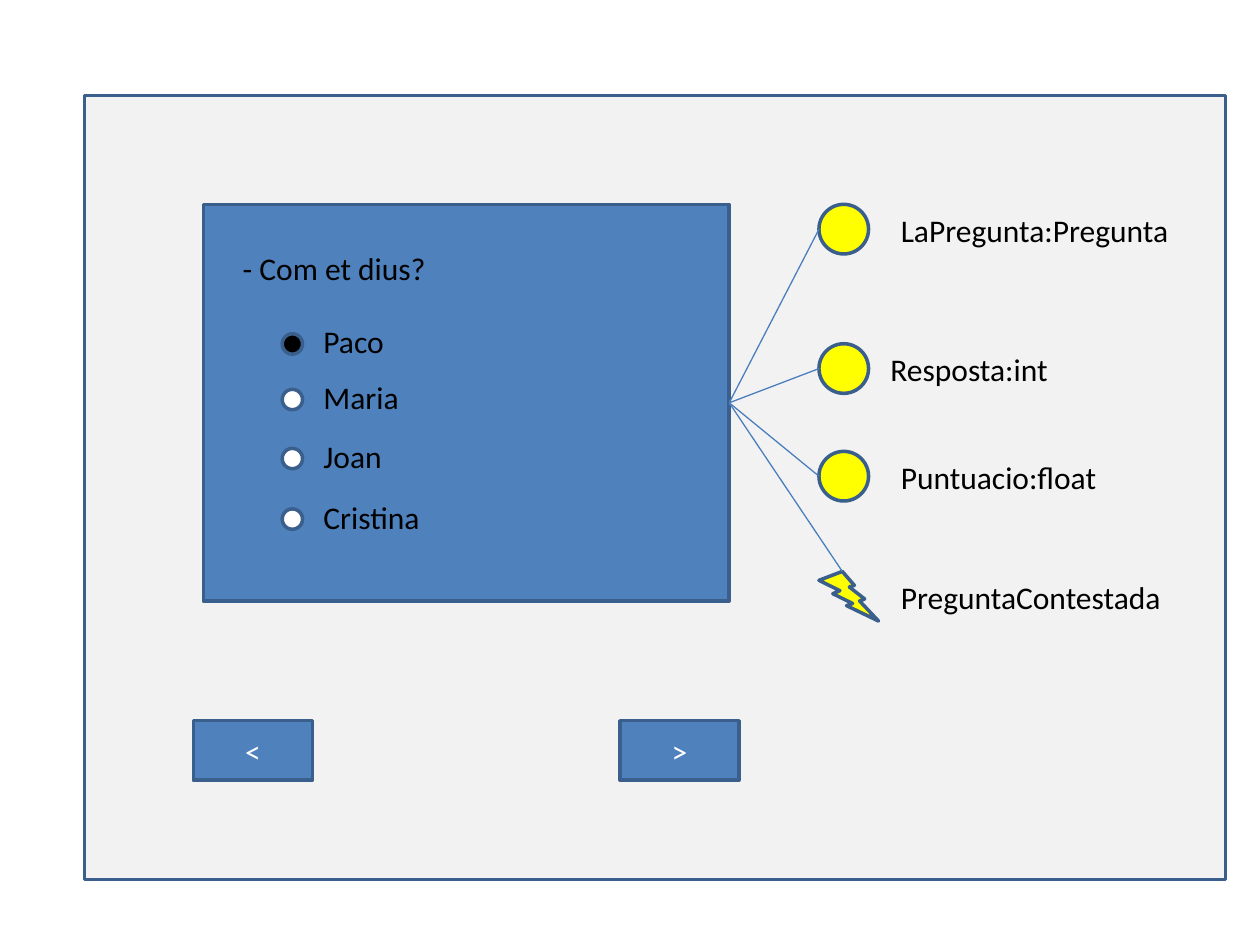
from pptx import Presentation
from pptx.dml.color import RGBColor
from pptx.enum import shapes, text
from pptx.oxml.ns import qn
from pptx.util import Cm, Pt
from lxml import etree

THEME = {
    "font": "Calibri", "size": 18,
    "outline": "3A5F8C", "outline_width": 2,
    "link": "4B7EBC", "link_width": 0.75,
    "frame": "F2F2F2", "panel": "4F81BD", "member": "FFFF00",
    "black": "000000", "white": "FFFFFF",
}
KIND = shapes.MSO_SHAPE

# Lengths in centimetres
FRAME = (1.7, 1.93, 23.01, 15.8)
PANEL = (4.1, 4.12, 10.6, 8)
QUESTION = (" - Com et dius?", 4.5, 4.9, 4.39)
LABEL_HEIGHT = 1.02

# Answer, top of its radio button, label width, selected
ANSWERS = [
    ("Paco", 6.73, 1.75, True),
    ("Maria", 7.85, 2.06, False),
    ("Joan", 9.04, 1.7, False),
    ("Cristina", 10.26, 2.46, False),
]
RADIO_LEFT, RADIO_SIZE, ANSWER_LEFT = 5.69, 0.41, 6.27

# Member, top, label left, label width
PROPERTIES = [
    ("LaPregunta:Pregunta", 4.12, 17.91, 5.97),
    ("Resposta:int", 6.93, 17.7, 3.71),
    ("Puntuacio:float", 9.1, 17.91, 4.5),
]
EVENT = ("PreguntaContestada", 11.52, 17.91, 5.82)
MEMBER_LEFT, MEMBER_SIZE = 16.51, 1
BOLT_WIDTH, BOLT_TIP = 1.2, 0.47

BUTTONS = [("<", 3.9), (">", 12.5)]
BUTTON_TOP, BUTTON_WIDTH, BUTTON_HEIGHT = 14.53, 2.4, 1.2


def color(name):
    return RGBColor.from_string(THEME[name])


def add_span(para, words, ink):
    span = para.add_run()
    span.text = words
    span.font.name = THEME["font"]
    span.font.size = Pt(THEME["size"])
    span.font.color.rgb = color(ink)


def add_figure(page, kind, fill, *bounds):
    figure = page.shapes.add_shape(kind, *map(Cm, bounds))
    figure.shadow.inherit = False
    figure.fill.solid()
    figure.fill.fore_color.rgb = color(fill)
    figure.line.color.rgb = color("outline")
    figure.line.width = Pt(THEME["outline_width"])
    return figure


def add_label(page, words, left, top, width):
    box = page.shapes.add_textbox(*map(Cm, (left, top, width, LABEL_HEIGHT)))
    box.text_frame.word_wrap = False
    box.text_frame.auto_size = text.MSO_AUTO_SIZE.SHAPE_TO_FIT_TEXT
    add_span(box.text_frame.paragraphs[0], words, "black")


def add_link(page, x, y):
    """Join the middle of the panel's right edge to a point."""
    left, top, width, height = PANEL
    ends = (left + width, top + height / 2, x, y)
    link = page.shapes.add_connector(shapes.MSO_CONNECTOR.STRAIGHT, *map(Cm, ends))
    link.line.color.rgb = color("link")
    link.line.width = Pt(THEME["link_width"])
    etree.SubElement(link._element.spPr, qn("a:effectLst"))


def add_button(page, words, left):
    button = add_figure(page, KIND.RECTANGLE, "panel",
                        left, BUTTON_TOP, BUTTON_WIDTH, BUTTON_HEIGHT)
    button.text_frame.vertical_anchor = text.MSO_ANCHOR.MIDDLE
    para = button.text_frame.paragraphs[0]
    para.alignment = text.PP_ALIGN.CENTER
    add_span(para, words, "white")


def main():
    deck = Presentation()
    deck.slide_width, deck.slide_height = Cm(25.4), Cm(19.05)
    page = deck.slides.add_slide(deck.slide_layouts[6])

    add_figure(page, KIND.RECTANGLE, "frame", *FRAME)
    add_figure(page, KIND.RECTANGLE, "panel", *PANEL)
    add_label(page, *QUESTION)

    for answer, top, width, selected in ANSWERS:
        add_figure(page, KIND.OVAL, "black" if selected else "white",
                   RADIO_LEFT, top, RADIO_SIZE, RADIO_SIZE)
        label_top = top + (RADIO_SIZE - LABEL_HEIGHT) / 2 - 0.05
        add_label(page, answer, ANSWER_LEFT, label_top, width)

    for name, top, left, width in PROPERTIES:
        add_figure(page, KIND.OVAL, "member", MEMBER_LEFT, top, MEMBER_SIZE, MEMBER_SIZE)
        add_link(page, MEMBER_LEFT, top + MEMBER_SIZE / 2)
        add_label(page, name, left, top, width)

    name, top, left, width = EVENT
    add_figure(page, KIND.LIGHTNING_BOLT, "member", MEMBER_LEFT, top, BOLT_WIDTH, MEMBER_SIZE)
    add_link(page, MEMBER_LEFT + BOLT_TIP, top)
    add_label(page, name, left, top, width)

    for words, left in BUTTONS:
        add_button(page, words, left)

    deck.save("out.pptx")


if __name__ == "__main__":
    main()
